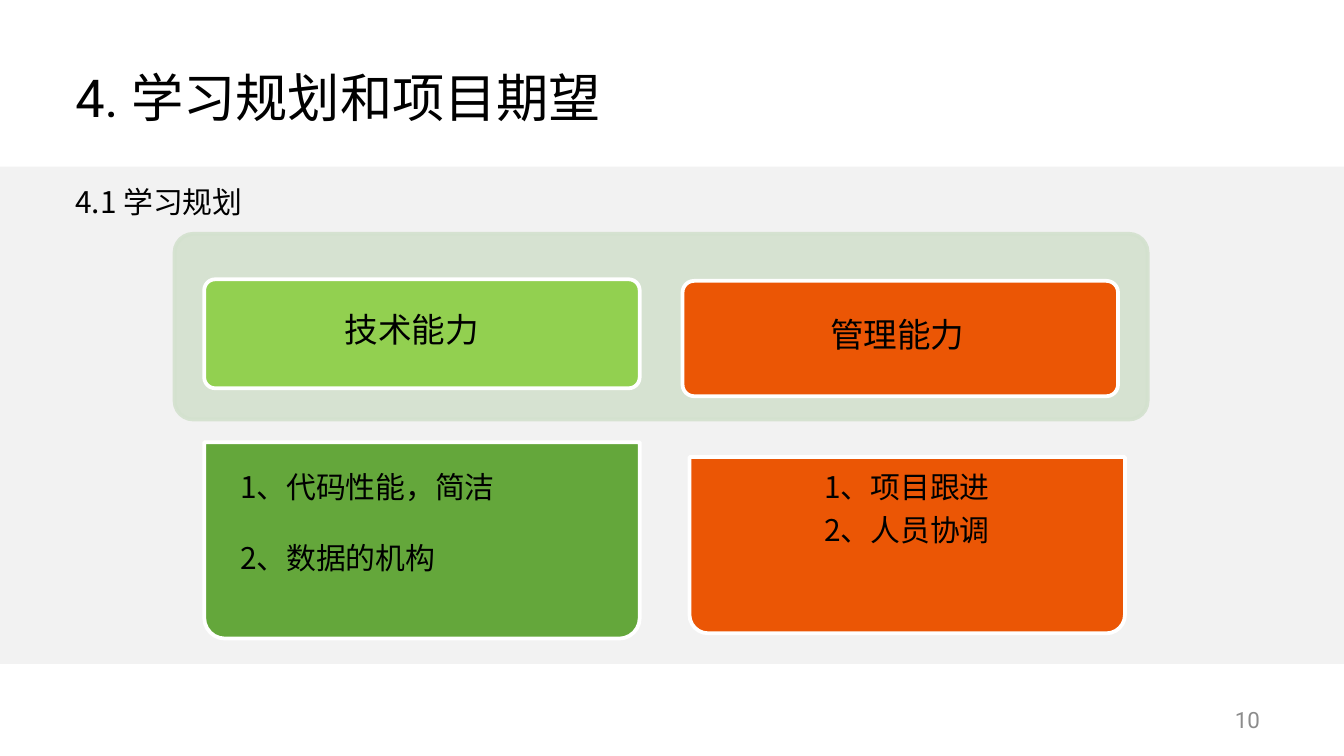
from dataclasses import dataclass

from lxml.etree import SubElement
from pptx import Presentation
from pptx.dml.color import RGBColor
from pptx.enum.shapes import MSO_SHAPE
from pptx.enum.text import MSO_ANCHOR, MSO_AUTO_SIZE, PP_ALIGN
from pptx.oxml.ns import qn
from pptx.util import Cm, Pt


@dataclass(frozen=True)
class Theme:
    latin: str = "Roboto"
    chinese: str = "Noto Sans CJK SC"
    text: str = "000000"
    muted: str = "8C8C8C"
    panel: str = "F2F2F2"
    frame: str = "D3E1CE"
    outline: str = "FFFFFF"
    title_size: int = 28
    heading_size: int = 18
    body_size: int = 16
    number_size: int = 12
    line_factor: float = 1.19
    outline_width: int = 2
    frame_opacity: int = 90


THEME = Theme()
TITLE = "4. 学习规划和项目期望"
SUBTITLE = "4.1 学习规划"
PAGE_NUMBER = "10"

# Boxes are left, top, width, height in centimetres.
TITLE_BOX = (1.17, 0.64, 22.86, 2.39)
BODY_BOX = (1.17, 3.35, 22.86, 10.01)
PANEL_BOX = (0, 3.15, 25.4, 9.4)
FRAME_BOX = (3.3, 4.42, 18.39, 3.51)
NUMBER_BOX = (23.09, 13.23, 1.9, 0.76)

ABILITIES = [
    {
        "heading": "技术能力",
        "items": ["1、代码性能，简洁", "2、数据的机构"],
        "heading_color": "92D050",
        "list_color": "64A73B",
        "heading_card": (3.86, 5.28, 8.23, 2.06),
        "list_card": (3.86, 8.36, 8.23, 3.71),
        "heading_text": (5.36, 5.72, 4.85, 1.8),
        "list_text": (4.29, 8.74, 6.6, 3.07),
        "list_format": {"gap": 19},
    },
    {
        "heading": "管理能力",
        "items": ["1、项目跟进", "2、人员协调"],
        "heading_color": "EB5605",
        "list_color": "EB5605",
        "heading_card": (12.9, 5.31, 8.23, 2.18),
        "list_card": (13.03, 8.64, 8.23, 3.33),
        "heading_text": (15.26, 5.82, 3.4, 1.02),
        "list_text": (13.13, 8.64, 8.03, 3.23),
        "list_format": {"gap": 5.6, "spacing": 0.9, "inset": 0.3,
                        "align": PP_ALIGN.CENTER},
    },
]


def place(shape, box):
    shape.left, shape.top, shape.width, shape.height = map(Cm, box)


def write(frame, lines, size, font=THEME.chinese, color=THEME.text,
          align=PP_ALIGN.LEFT, gap=0, spacing=1, inset=None,
          anchor=MSO_ANCHOR.TOP):
    """Fill a text frame with one paragraph per line; gap is in points."""
    frame.word_wrap = True
    frame.auto_size = MSO_AUTO_SIZE.NONE
    frame.vertical_anchor = anchor
    if inset is not None:
        frame.margin_left = frame.margin_right = Cm(inset)
        frame.margin_top = frame.margin_bottom = Cm(inset)
    for index, line in enumerate(lines):
        paragraph = frame.add_paragraph() if index else frame.paragraphs[0]
        paragraph.alignment = align
        paragraph.line_spacing = Pt(size * THEME.line_factor * spacing)
        paragraph.space_before = Pt(0)
        paragraph.space_after = Pt(gap)
        run = paragraph.add_run()
        run.text = line
        run.font.name = font
        run.font.size = Pt(size)
        run.font.color.rgb = RGBColor.from_string(color)
        properties = run.font._element
        SubElement(properties, qn("a:ea")).set("typeface", THEME.chinese)


def add_text(slide, box, lines, size, **options):
    text_box = slide.shapes.add_textbox(*map(Cm, box))
    write(text_box.text_frame, lines, size, **options)


def add_card(slide, kind, box, fill, outline=None, adjustments=()):
    shape = slide.shapes.add_shape(kind, *map(Cm, box))
    shape.shadow.inherit = False
    shape.fill.solid()
    shape.fill.fore_color.rgb = RGBColor.from_string(fill)
    if outline:
        shape.line.color.rgb = RGBColor.from_string(outline)
        shape.line.width = Pt(THEME.outline_width)
    else:
        shape.line.fill.background()
    for index, value in enumerate(adjustments):
        shape.adjustments[index] = value
    return shape


def set_opacity(shape, percent):
    for color in shape.element.spPr.iter(qn("a:srgbClr")):
        SubElement(color, qn("a:alpha")).set("val", str(percent * 1000))


def add_ability(slide, ability):
    add_card(slide, MSO_SHAPE.ROUNDED_RECTANGLE, ability["heading_card"],
             ability["heading_color"], THEME.outline, [0.1])
    list_card = add_card(slide, MSO_SHAPE.ROUND_2_SAME_RECTANGLE,
                         ability["list_card"], ability["list_color"],
                         THEME.outline, [0.105, 0])
    list_card.rotation = 180
    add_text(slide, ability["heading_text"], [ability["heading"]],
             THEME.heading_size, align=PP_ALIGN.CENTER)
    add_text(slide, ability["list_text"], ability["items"],
             THEME.body_size, **ability["list_format"])


def remove_bullet(paragraph):
    properties = paragraph._p.get_or_add_pPr()
    properties.set("marL", str(Cm(0.97)))
    properties.set("indent", str(-Cm(0.97)))
    SubElement(properties, qn("a:buNone"))


def main():
    presentation = Presentation()
    presentation.slide_width, presentation.slide_height = Cm(25.4), Cm(14.29)
    slide = presentation.slides.add_slide(presentation.slide_layouts[1])

    title, body = slide.placeholders
    place(title, TITLE_BOX)
    write(title.text_frame, [TITLE], THEME.title_size, font=THEME.latin,
          anchor=MSO_ANCHOR.MIDDLE)
    place(body, BODY_BOX)
    write(body.text_frame, [SUBTITLE], THEME.body_size)
    remove_bullet(body.text_frame.paragraphs[0])

    panel = add_card(slide, MSO_SHAPE.RECTANGLE, PANEL_BOX, THEME.panel)
    panel.element.getparent().insert(2, panel.element)  # behind the text
    frame = add_card(slide, MSO_SHAPE.ROUNDED_RECTANGLE, FRAME_BOX,
                     THEME.frame, THEME.frame, [0.1])
    set_opacity(frame, THEME.frame_opacity)

    for ability in ABILITIES:
        add_ability(slide, ability)
    add_text(slide, NUMBER_BOX, [PAGE_NUMBER], THEME.number_size,
             font=THEME.latin, color=THEME.muted, anchor=MSO_ANCHOR.MIDDLE)
    presentation.save("out.pptx")


if __name__ == "__main__":
    main()
